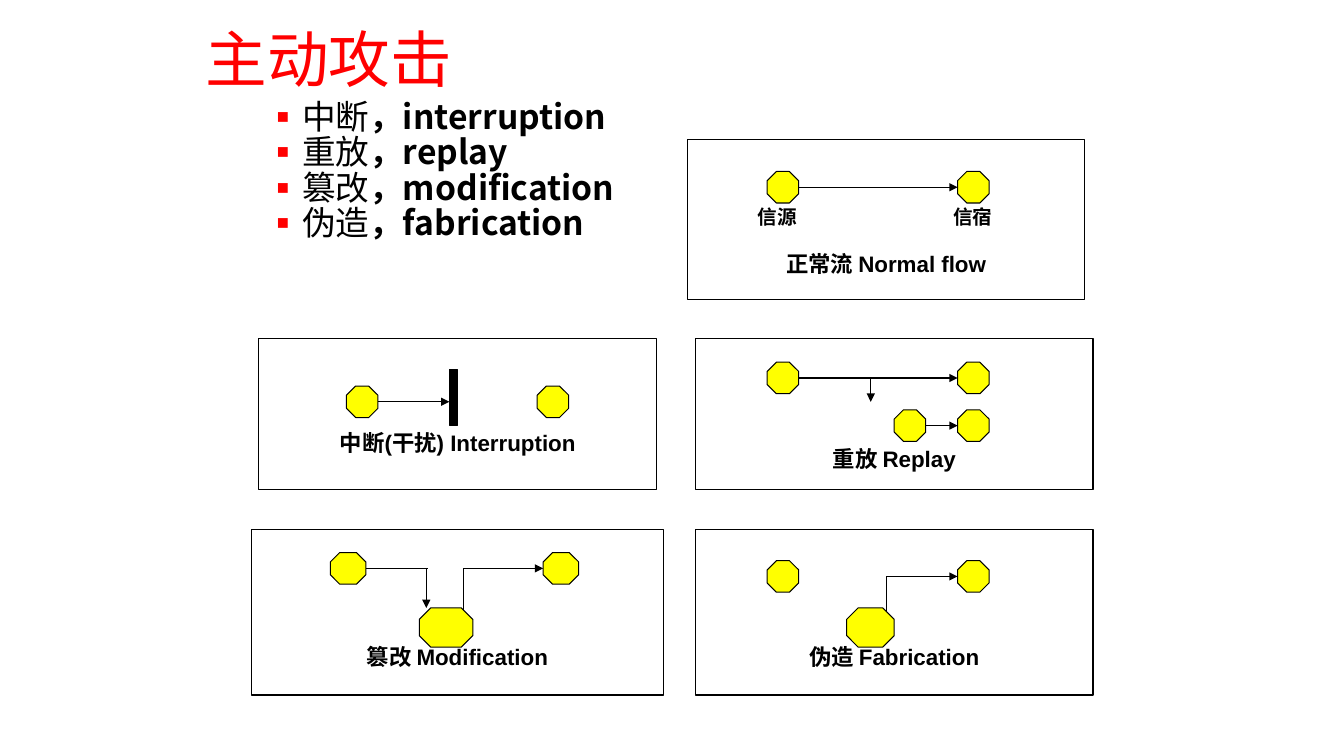
"""Build a slide that compares normal flow with four kinds of active attack."""
from dataclasses import dataclass

from lxml.etree import SubElement
from pptx import Presentation
from pptx.dml.color import RGBColor
from pptx.enum.shapes import MSO_CONNECTOR, MSO_SHAPE
from pptx.enum.text import MSO_ANCHOR, PP_ALIGN
from pptx.oxml.ns import qn
from pptx.util import Pt

CJK_FONT = "Noto Sans CJK SC"
BLACK, WHITE, RED, YELLOW = "000000", "FFFFFF", "FF0000", "FFFF00"
NODE = 22.5
SOURCE_LEFT, TARGET_LEFT = 548, 684
SOURCE_RIGHT = SOURCE_LEFT + NODE


@dataclass(frozen=True)
class Box:
    left: float
    top: float
    width: float = NODE
    height: float = NODE


@dataclass(frozen=True)
class Line:
    start_x: float
    start_y: float
    end_x: float
    end_y: float
    arrow: bool = True


@dataclass(frozen=True)
class Label:
    text: str
    box: Box


@dataclass(frozen=True)
class Panel:
    caption: str
    caption_middle: float
    frame: Box
    nodes: tuple[Box, ...]
    lines: tuple[Line, ...]
    barriers: tuple[Box, ...] = ()
    labels: tuple[Label, ...] = ()


PANELS = (
    Panel("正常流 Normal flow", 188, Box(491, 100, 284, 114),
          (Box(SOURCE_LEFT, 122.5), Box(TARGET_LEFT, 122.5)),
          (Line(SOURCE_RIGHT, 133.75, TARGET_LEFT, 133.75),),
          labels=(Label("信源", Box(531.4, 143, 48, 24.5)),
                  Label("信宿", Box(673.2, 143, 43.2, 24.5)))),
    Panel("中断(干扰) Interruption", 316, Box(185, 242, 284, 108),
          (Box(247.5, 275.75), Box(383.75, 275.75)),
          (Line(270, 287, 321, 287),),
          barriers=(Box(321, 264.25, 6, 39.5),)),
    Panel("重放 Replay", 327.5, Box(496.75, 242, 284, 108),
          (Box(SOURCE_LEFT, 258.75), Box(TARGET_LEFT, 258.75),
           Box(638.75, 292.75), Box(TARGET_LEFT, 292.75)),
          (Line(SOURCE_RIGHT, 270, TARGET_LEFT, 270),
           Line(622, 270, 622, 287),
           Line(661.25, 304, TARGET_LEFT, 304))),
    Panel("篡改 Modification", 469, Box(179.5, 378, 294.5, 118.5),
          (Box(236, 394.75, 25.25), Box(388, 394.75, 25.25),
           Box(299.5, 434.25, 38.25, 28)),
          (Line(261.25, 406, 306, 406, False),
           Line(304.5, 406, 304.5, 434.25),
           Line(331.25, 406, 388, 406),
           Line(331.25, 406, 331.25, 440, False))),
    Panel("伪造 Fabrication", 469, Box(496.75, 378, 284, 118.5),
          (Box(SOURCE_LEFT, 400.5), Box(TARGET_LEFT, 400.5),
           Box(604.75, 434.25, 34, 28)),
          (Line(633, 411.75, TARGET_LEFT, 411.75),
           Line(633, 411.75, 633, 445.75, False))),
)

ATTACKS = (("中断", "interruption"), ("重放", "replay"),
           ("篡改", "modification"), ("伪造", "fabrication"))


def color(value: str) -> RGBColor:
    """Turn a hex string into a colour."""
    return RGBColor.from_string(value)


def place(box: Box) -> tuple[Pt, Pt, Pt, Pt]:
    """Give the four lengths of a box in points."""
    return Pt(box.left), Pt(box.top), Pt(box.width), Pt(box.height)


def add_text(paragraph, text: str, *, size: float, font: str = "Arial",
             fill: str = BLACK, bold: bool = False) -> None:
    """Add one formatted run to a paragraph."""
    run = paragraph.add_run()
    run.text = text
    run.font.size = Pt(size)
    run.font.name = font
    run.font.bold = bold
    run.font.color.rgb = color(fill)
    latin = run.font._element.find(qn("a:latin"))
    east_asian = latin.makeelement(qn("a:ea"), {"typeface": CJK_FONT})
    latin.addnext(east_asian)


def add_bullet(paragraph) -> None:
    """Give a paragraph a small red square bullet."""
    properties = paragraph._p.get_or_add_pPr()
    properties.set("marL", str(Pt(54)))
    properties.set("indent", str(Pt(-18)))
    bullet_color = SubElement(properties, qn("a:buClr"))
    SubElement(bullet_color, qn("a:srgbClr"), val=RED)
    SubElement(properties, qn("a:buSzPct"), val="60000")
    SubElement(properties, qn("a:buFont"), typeface="Arial")
    SubElement(properties, qn("a:buChar"), char="■")


def add_outlined(shapes, kind: MSO_SHAPE, box: Box, fill: str):
    """Draw a filled shape with a thin black outline."""
    shape = shapes.add_shape(kind, *place(box))
    shape.shadow.inherit = False
    shape.fill.solid()
    shape.fill.fore_color.rgb = color(fill)
    shape.line.color.rgb = color(BLACK)
    shape.line.width = Pt(0.75)
    return shape


def add_line(shapes, line: Line) -> None:
    """Draw a thin black line, with an arrowhead where asked."""
    connector = shapes.add_connector(
        MSO_CONNECTOR.STRAIGHT, Pt(line.start_x), Pt(line.start_y),
        Pt(line.end_x), Pt(line.end_y))
    connector.line.color.rgb = color(BLACK)
    connector.line.width = Pt(0.75)
    if line.arrow:
        SubElement(connector.line._get_or_add_ln(), qn("a:tailEnd"), type="triangle")
    SubElement(connector._element.spPr, qn("a:effectLst"))


def add_panel(slide, panel: Panel) -> None:
    """Draw one flow diagram as a group."""
    shapes = slide.shapes.add_group_shape().shapes
    frame = add_outlined(shapes, MSO_SHAPE.RECTANGLE, panel.frame, WHITE)
    text_frame = frame.text_frame
    text_frame.word_wrap = False
    text_frame.vertical_anchor = MSO_ANCHOR.MIDDLE
    frame_middle = panel.frame.top + panel.frame.height / 2
    text_frame.margin_top = Pt(2 * (panel.caption_middle - frame_middle))
    text_frame.margin_bottom = Pt(0)
    paragraph = text_frame.paragraphs[0]
    paragraph.alignment = PP_ALIGN.CENTER
    add_text(paragraph, panel.caption, size=16, bold=True)
    for line in panel.lines:
        add_line(shapes, line)
    for node in panel.nodes:
        add_outlined(shapes, MSO_SHAPE.OCTAGON, node, YELLOW)
    for barrier in panel.barriers:
        add_outlined(shapes, MSO_SHAPE.RECTANGLE, barrier, BLACK)
    for label in panel.labels:
        label_paragraph = shapes.add_textbox(*place(label.box)).text_frame.paragraphs[0]
        label_paragraph.alignment = PP_ALIGN.CENTER
        add_text(label_paragraph, label.text, size=14, bold=True)


def add_heading(slide) -> None:
    """Write the title of the slide."""
    text_frame = slide.shapes.add_textbox(*place(Box(139.75, 23.75, 529, 42))).text_frame
    text_frame.word_wrap = True
    text_frame.vertical_anchor = MSO_ANCHOR.MIDDLE
    text_frame.paragraphs[0].line_spacing = 0.9
    add_text(text_frame.paragraphs[0], "主动攻击", size=44, font=CJK_FONT, fill=RED)


def add_attack_list(slide) -> None:
    """Write the bulleted list of attacks."""
    text_frame = slide.shapes.add_textbox(*place(Box(154.75, 68.5, 330, 132))).text_frame
    text_frame.word_wrap = True
    for index, (chinese, english) in enumerate(ATTACKS):
        paragraph = text_frame.add_paragraph() if index else text_frame.paragraphs[0]
        add_bullet(paragraph)
        paragraph.level = 1
        paragraph.line_spacing = 0.88
        add_text(paragraph, chinese, size=24, font=CJK_FONT)
        add_text(paragraph, f"，{english}", size=24, font=CJK_FONT, bold=True)


def main() -> None:
    """Build and save the presentation."""
    presentation = Presentation()
    presentation.slide_width, presentation.slide_height = Pt(960), Pt(540)
    slide = presentation.slides.add_slide(presentation.slide_layouts[6])
    add_attack_list(slide)
    add_heading(slide)
    for panel in PANELS:
        add_panel(slide, panel)
    presentation.save("out.pptx")


if __name__ == "__main__":
    main()
